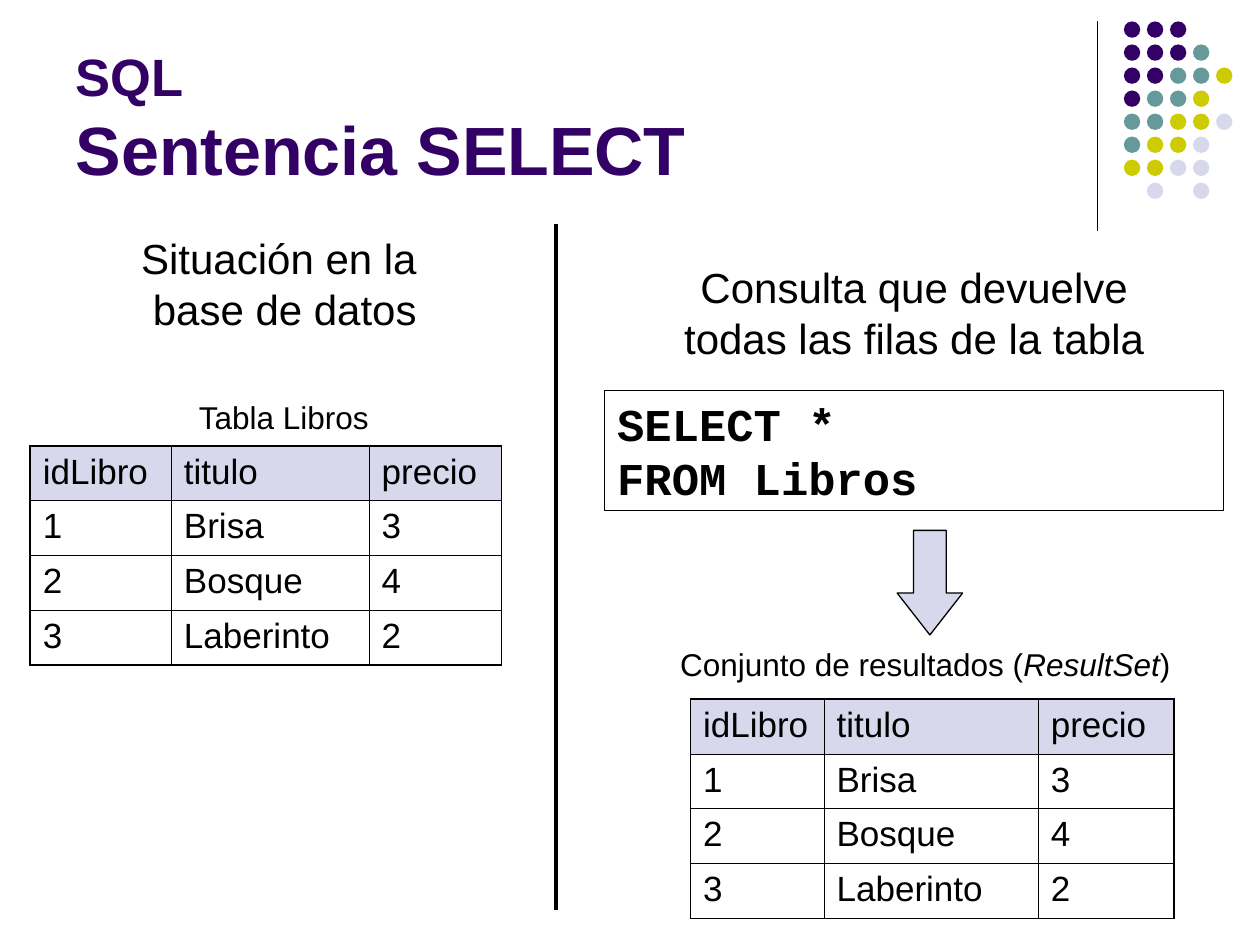
from dataclasses import dataclass

from lxml.etree import SubElement
from pptx import Presentation
from pptx.dml.color import RGBColor
from pptx.enum.shapes import MSO_CONNECTOR, MSO_SHAPE
from pptx.enum.text import MSO_ANCHOR, MSO_AUTO_SIZE, PP_ALIGN
from pptx.oxml.ns import qn
from pptx.util import Inches, Pt


@dataclass(frozen=True)
class Theme:
    black: str = "000000"
    purple: str = "330066"
    teal: str = "669999"
    olive: str = "CCCC00"
    lavender: str = "D8D8EC"
    font: str = "Arial"
    code_font: str = "Courier New"
    title: int = 39
    kicker: int = 30
    code: int = 26
    heading: int = 24
    cell: int = 20
    caption: int = 18
    thin: float = 0.75
    thick: float = 2.25
    inner_border: float = 0.45
    outer_border: float = 1.08


THEME = Theme()
DOT_COLORS = {"P": THEME.purple, "T": THEME.teal,
              "O": THEME.olive, "L": THEME.lavender}
DOT_ROWS = ["PPP", "PPPT", "PPTTO", "PTTO", "TTOOL", "TOOL", "OOLL", " L L"]
BOOKS = [
    ["idLibro", "titulo", "precio"],
    ["1", "Brisa", "3"],
    ["2", "Bosque", "4"],
    ["3", "Laberinto", "2"],
]


def rgb(color):
    return RGBColor.from_string(color)


def box(left, top, width, height):
    return [Inches(v) for v in (left, top, width, height)]


def add_run(p, text, size, color=THEME.black, font=THEME.font,
            bold=False, italic=False):
    r = p.add_run()
    r.text = text
    r.font.size = Pt(size)
    r.font.name = font
    r.font.color.rgb = rgb(color)
    r.font.bold = bold
    r.font.italic = italic


def add_lines(tf, lines, align, size, **style):
    """Write one paragraph per line; a line is a list of (text, italic) runs."""
    for i, line in enumerate(lines):
        p = tf.paragraphs[0] if i == 0 else tf.add_paragraph()
        p.alignment = align
        for text, italic in line:
            add_run(p, text, size, italic=italic, **style)


def add_label(s, at, lines, size, align=PP_ALIGN.LEFT):
    tf = s.shapes.add_textbox(*box(*at)).text_frame
    tf.word_wrap = False
    add_lines(tf, lines, align, size)


def add_title(s):
    title = s.shapes.title
    title.left, title.top, title.width, title.height = box(0.5, 0.13, 8.25, 1.42)
    tf = title.text_frame
    tf.auto_size = MSO_AUTO_SIZE.NONE
    tf.vertical_anchor = MSO_ANCHOR.BOTTOM
    p = tf.paragraphs[0]
    p.alignment = PP_ALIGN.LEFT
    add_run(p, "SQL", THEME.kicker, THEME.purple, bold=True)
    p.add_line_break()
    add_run(p, "Sentencia SELECT", THEME.title, THEME.purple, bold=True)


def add_vertical_line(s, x, top, bottom, width):
    line = s.shapes.add_connector(MSO_CONNECTOR.STRAIGHT, Inches(x), Inches(top),
                                  Inches(x), Inches(bottom))
    line.line.color.rgb = rgb(THEME.black)
    line.line.width = Pt(width)
    SubElement(line._element.spPr, qn("a:effectLst"))


def add_shape(shapes, kind, at, fill=None, outlined=True):
    sp = shapes.add_shape(kind, *box(*at))
    sp.shadow.inherit = False
    if fill:
        sp.fill.solid()
        sp.fill.fore_color.rgb = rgb(fill)
    else:
        sp.fill.background()
    if outlined:
        sp.line.color.rgb = rgb(THEME.black)
        sp.line.width = Pt(THEME.thin)
    else:
        sp.line.fill.background()
    return sp


def add_dots(s, left=8.92, top=0.17, size=0.13):
    pitch = 1.28 / (len(DOT_ROWS) - 1)
    group = s.shapes.add_group_shape()
    for row, pattern in enumerate(DOT_ROWS):
        for col, key in enumerate(pattern):
            if key in DOT_COLORS:
                at = (left + col * pitch, top + row * pitch, size, size)
                add_shape(group.shapes, MSO_SHAPE.OVAL, at, DOT_COLORS[key], False)


def add_code(s, at, lines):
    tf = add_shape(s.shapes, MSO_SHAPE.RECTANGLE, at).text_frame
    tf.word_wrap = True
    tf.vertical_anchor = MSO_ANCHOR.MIDDLE
    add_lines(tf, lines, PP_ALIGN.LEFT, THEME.code,
              font=THEME.code_font, bold=True)


def add_arrow(s, at):
    sp = add_shape(s.shapes, MSO_SHAPE.DOWN_ARROW, at, THEME.lavender)
    sp.adjustments[0] = 0.5
    sp.adjustments[1] = 0.64


def set_borders(cell, outer):
    """Draw all four borders, heavier on the sides named in outer."""
    tc_pr = cell._tc.get_or_add_tcPr()
    for side in "LRTB":
        width = THEME.outer_border if side in outer else THEME.inner_border
        ln = SubElement(tc_pr, qn(f"a:ln{side}"), w=str(int(Pt(width))))
        fill = SubElement(ln, qn("a:solidFill"))
        SubElement(fill, qn("a:srgbClr"), val=THEME.black)


def add_books_table(s, left, top, col_widths, row_height=0.435):
    rows, cols = len(BOOKS), len(col_widths)
    at = box(left, top, sum(col_widths), rows * row_height)
    table = s.shapes.add_table(rows, cols, *at).table
    table.first_row = table.horz_banding = False
    for column, width in zip(table.columns, col_widths):
        column.width = Inches(width)
    for i, values in enumerate(BOOKS):
        for j, value in enumerate(values):
            cell = table.cell(i, j)
            edges = {"L": j == 0, "R": j == cols - 1,
                     "T": i == 0, "B": i == rows - 1}
            set_borders(cell, [side for side, on_edge in edges.items() if on_edge])
            if i == 0:
                cell.fill.solid()
                cell.fill.fore_color.rgb = rgb(THEME.lavender)
            else:
                cell.fill.background()
            p = cell.text_frame.paragraphs[0]
            p.space_before = Pt(5)
            add_run(p, value, THEME.cell)


def main():
    prs = Presentation()
    prs.slide_width, prs.slide_height = Inches(10), Inches(7.5)
    s = prs.slides.add_slide(prs.slide_layouts[5])

    add_vertical_line(s, 8.71, 0.17, 1.83, THEME.thin)
    add_dots(s)
    add_title(s)

    add_code(s, (4.8, 3.1, 4.91, 0.95),
             [[("SELECT *", False)], [("FROM Libros", False)]])
    add_arrow(s, (7.12, 4.21, 0.52, 0.83))
    add_label(s, (5.3, 5.07, 4.09, 0.4),
              [[("Conjunto de resultados (", False), ("ResultSet", True),
                (")", False)]], THEME.caption)
    add_books_table(s, 0.24, 3.54, [1.12, 1.57, 1.05])
    add_label(s, (1.48, 3.11, 1.57, 0.4), [[("Tabla Libros", False)]], THEME.caption)
    add_vertical_line(s, 4.41, 1.78, 7.22, THEME.thick)
    add_label(s, (1.02, 1.8, 2.48, 0.9),
              [[("Situación en la ", False)], [("base de datos", False)]],
              THEME.heading, PP_ALIGN.CENTER)
    add_label(s, (5.33, 2.03, 3.85, 0.9),
              [[("Consulta que devuelve", False)],
               [("todas las filas de la tabla", False)]],
              THEME.heading, PP_ALIGN.CENTER)
    add_books_table(s, 5.48, 5.55, [1.06, 1.7, 1.08])

    prs.save("out.pptx")


if __name__ == "__main__":
    main()
